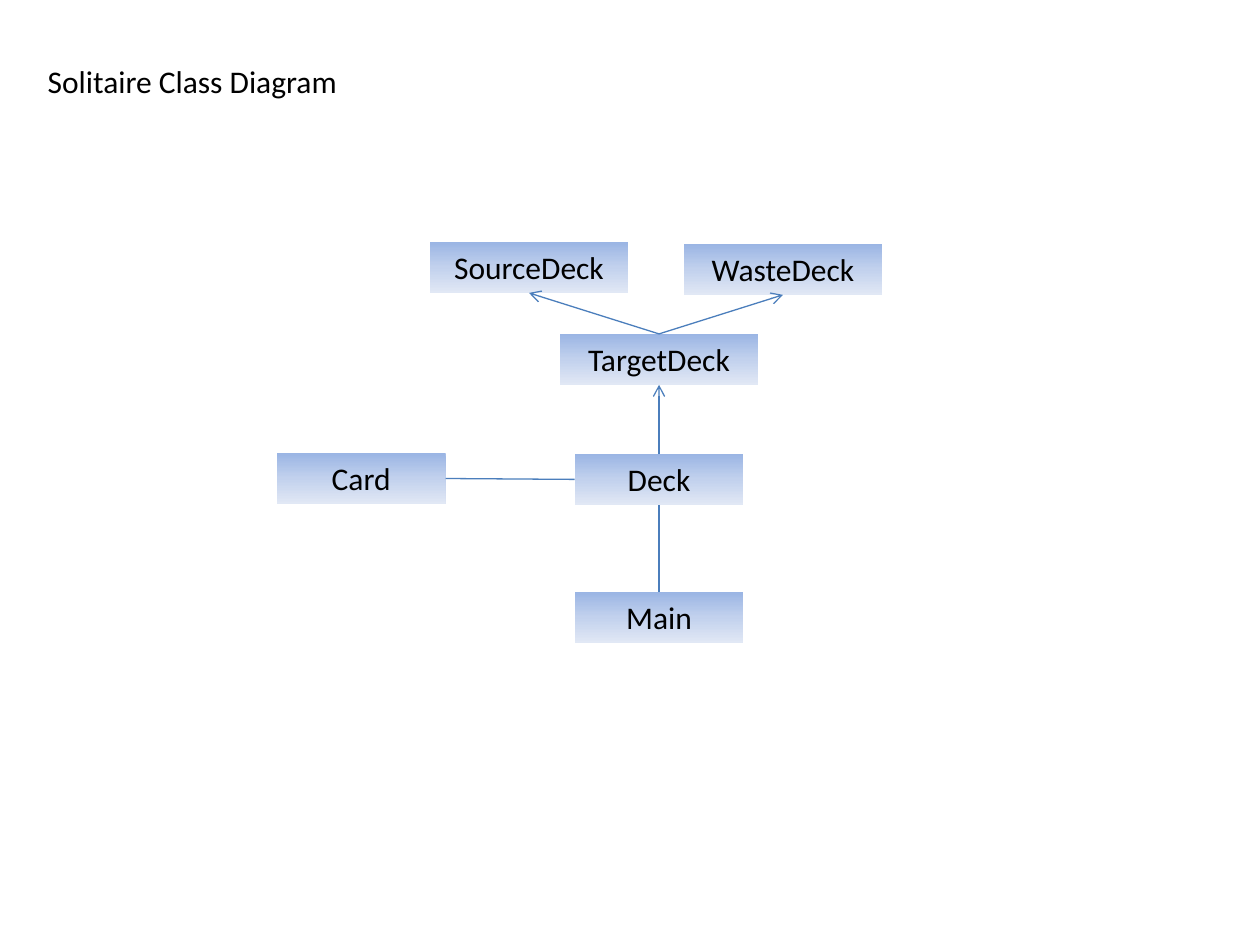
"""Build the Solitaire class diagram slide."""
import copy

import pptx
import pptx.dml.color
import pptx.enum.shapes
import pptx.enum.text
import pptx.oxml
import pptx.oxml.ns
import pptx.util

Pt = pptx.util.Pt
ALIGN = pptx.enum.text.PP_ALIGN


def rgb(color):
    return pptx.dml.color.RGBColor.from_string(color)


def write(sp, text, size=18, font="Calibri", color="000000", align=ALIGN.CENTER, wrap=True):
    tf = sp.text_frame
    tf.word_wrap = wrap
    tf.auto_size = pptx.enum.text.MSO_AUTO_SIZE.SHAPE_TO_FIT_TEXT
    tf.vertical_anchor = pptx.enum.text.MSO_ANCHOR.TOP
    p = tf.paragraphs[0]
    p.alignment = align
    r = p.add_run()
    r.text = text
    r.font.size = Pt(size)
    r.font.name = font
    r.font.color.rgb = rgb(color)


prs = pptx.Presentation()
prs.slide_width, prs.slide_height = Pt(720), Pt(540)
s = prs.slides.add_slide(prs.slide_layouts[5])

title = s.shapes.title
title.left, title.top, title.width, title.height = Pt(20), Pt(31.7), Pt(181.4), Pt(29.1)
write(title, "Solitaire Class Diagram", align=ALIGN.LEFT, wrap=False)

box_h, narrow, wide, axis = 29.1, 96.4, 113.2, 376.6
classes = [
    ("Card", 206.4, 258.9, narrow),
    ("Deck", axis, 259.4, narrow),
    ("SourceDeck", 302.3, 138.3, wide),
    ("WasteDeck", 447.4, 139.4, wide),
    ("Main", axis, 338.3, narrow),
    ("TargetDeck", axis, 190.8, wide),
]
boxes = {}
for name, center, top, width in classes:
    sp = s.shapes.add_shape(
        pptx.enum.shapes.MSO_SHAPE.RECTANGLE,
        Pt(center - width / 2), Pt(top), Pt(width), Pt(box_h))
    sp.shadow.inherit = False
    sp.line.fill.background()
    sp.fill.gradient()
    sp.fill.gradient_angle = 270
    first = sp.element.spPr.find(".//" + pptx.oxml.ns.qn("a:gs"))
    first.addnext(copy.deepcopy(first))
    stops = [(0, "9AB5E4"), (0.5, "C2D1ED"), (1, "E1E8F5")]
    for stop, (position, color) in zip(sp.fill.gradient_stops, stops):
        stop.position = position
        stop.color.rgb = rgb(color)
    write(sp, name)
    boxes[name] = sp

TOP, LEFT, BOTTOM, RIGHT = range(4)
links = [
    ("Deck", TOP, "TargetDeck", BOTTOM, True),
    ("TargetDeck", TOP, "SourceDeck", BOTTOM, True),
    ("TargetDeck", TOP, "WasteDeck", BOTTOM, True),
    ("Main", TOP, "Deck", BOTTOM, False),
    ("Card", RIGHT, "Deck", LEFT, False),
]
for start, start_side, end, end_side, arrow in links:
    c = s.shapes.add_connector(
        pptx.enum.shapes.MSO_CONNECTOR.STRAIGHT, Pt(0), Pt(0), Pt(0), Pt(0))
    c.begin_connect(boxes[start], start_side)
    c.end_connect(boxes[end], end_side)
    c.line.color.rgb = rgb("4B7EBC")
    c.line.width = Pt(0.75)
    if arrow:
        tail = pptx.oxml.ns.qn("a:tailEnd")
        c.line._get_or_add_ln().append(c.element.makeelement(tail, {"type": "arrow"}))
    c.element.spPr.append(c.element.makeelement(pptx.oxml.ns.qn("a:effectLst"), {}))

prs.save("out.pptx")
